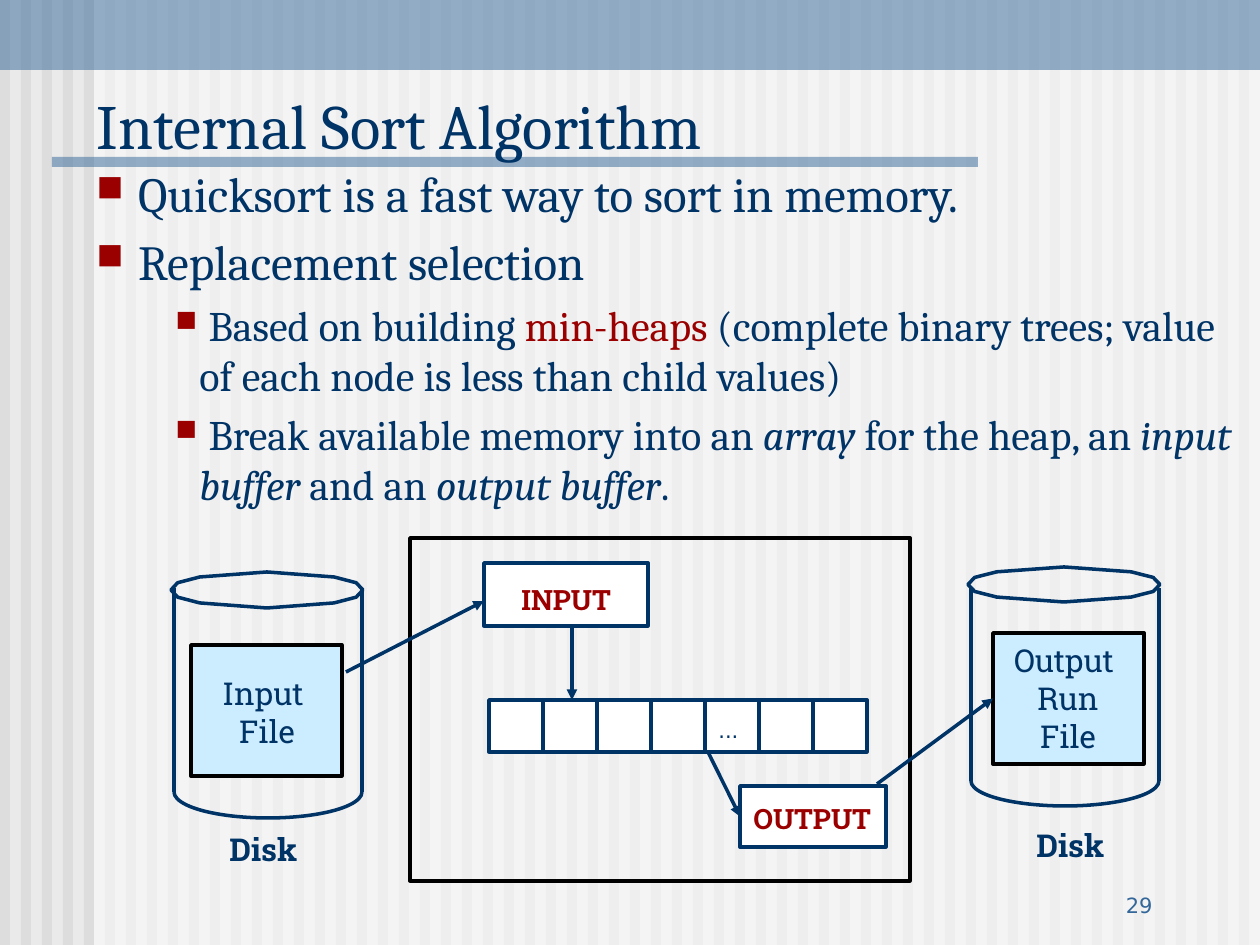
import pptx
import pptx.util
import pptx.dml.color
import pptx.enum.shapes
import pptx.enum.text
import pptx.oxml
import pptx.oxml.ns

NAVY, RED, BLUE, PALE, WHITE, BLACK = "003366", "9A0000", "336699", "CCECFF", "FFFFFF", "000000"
SERIF, SLAB, SANS = "Cambria", "Roboto Slab", "DejaVu Sans"
SHAPE = pptx.enum.shapes.MSO_SHAPE
ALIGN = pptx.enum.text.PP_ALIGN
ANCHOR = pptx.enum.text.MSO_ANCHOR
TOP, LEFT, BOTTOM, RIGHT = range(4)


def px(length):
    return round(length * 914400 / 126)


def rgb(value):
    return pptx.dml.color.RGBColor.from_string(value)


def add_xml(parent, tag, **attributes):
    child = pptx.oxml.parse_xml(f"<a:{tag} {pptx.oxml.ns.nsdecls('a')}/>")
    for key, value in attributes.items():
        child.set(key, str(value))
    parent.append(child)
    return child


class Board:
    """Holds the style and the current slide, and draws each kind of element."""

    def __init__(self, slide, line_width=2):
        self.slide = slide
        self.shapes = slide.shapes
        self.line_width = pptx.util.Pt(line_width)

    def background(self, color):
        self.slide.background.fill.solid()
        self.slide.background.fill.fore_color.rgb = rgb(color)

    def style(self, shape, fill=None, line=None, alpha=None):
        shape.shadow.inherit = False
        if fill:
            shape.fill.solid()
            shape.fill.fore_color.rgb = rgb(fill)
            if alpha:
                color = shape.fill._xPr.find(".//" + pptx.oxml.ns.qn("a:srgbClr"))
                add_xml(color, "alpha", val=alpha * 1000)
        else:
            shape.fill.background()
        if line:
            shape.line.color.rgb = rgb(line)
            shape.line.width = self.line_width
        else:
            shape.line.fill.background()
        return shape

    def box(self, x, y, w, h, fill=None, line=None, alpha=None):
        shape = self.shapes.add_shape(SHAPE.RECTANGLE, px(x), px(y), px(w), px(h))
        return self.style(shape, fill, line, alpha)

    def line(self, x1, y1, x2, y2, arrow=False, end=None):
        connector = self.shapes.add_connector(
            pptx.enum.shapes.MSO_CONNECTOR.STRAIGHT, px(x1), px(y1), px(x2), px(y2))
        connector.line.color.rgb = rgb(NAVY)
        connector.line.width = self.line_width
        if end:
            connector.end_connect(*end)
        if arrow:
            add_xml(connector.line._get_or_add_ln(), "tailEnd", type="triangle")
        add_xml(connector._element.spPr, "effectLst")

    def disk(self, x, lid_top, lid_height, wall_bottom, depth):
        width, wall_inset, wall_top = 192, 3, 588
        half_w, half_h = width / 2, lid_height / 2
        quarter = [(1, 0), (0.93, 0.4), (0.7, 0.72), (0, 1)]
        upper = quarter + [(-u, v) for u, v in quarter[-2::-1]]
        rim = upper + [(-u, -v) for u, v in upper[1:-1]]
        points = [(px(x + half_w * (1 + u)), px(lid_top + half_h * (1 - v))) for u, v in rim]
        builder = self.shapes.build_freeform(*points[0])
        builder.add_line_segments(points[1:], close=True)
        self.style(builder.convert_to_shape(), line=NAVY)
        left, right = x + wall_inset, x + width - 1
        for wall in (left, right):
            self.line(wall, wall_top, wall, wall_bottom)
        base = self.shapes.add_shape(SHAPE.ARC, px(left), px(wall_bottom - depth),
                                     px(right - left), px(2 * depth))
        base.adjustments[0], base.adjustments[1] = 0, 108
        self.style(base, line=NAVY)

    def font(self, paragraph, size, face, color=None, bold=None):
        paragraph.font.size = pptx.util.Pt(size)
        paragraph.font.name = face
        paragraph.font.bold = bold
        if color:
            paragraph.font.color.rgb = rgb(color)

    def title(self, text, x, y, w, h, size):
        title = self.shapes.title
        self.shapes._spTree.append(title._element)
        title.left, title.top, title.width, title.height = map(px, (x, y, w, h))
        title.text = text
        title.text_frame.vertical_anchor = ANCHOR.BOTTOM
        heading = title.text_frame.paragraphs[0]
        heading.alignment = ALIGN.LEFT
        self.font(heading, size, SERIF, NAVY)

    def text(self, lines, x, y, w, h, size, face=SLAB, color=NAVY, bold=None,
             align=ALIGN.LEFT, anchor=ANCHOR.TOP, wrap=True, before=0):
        frame = self.shapes.add_textbox(px(x), px(y), px(w), px(h)).text_frame
        frame.word_wrap = wrap
        frame.vertical_anchor = anchor
        for index, line in enumerate(lines):
            paragraph = frame.paragraphs[0] if index == 0 else frame.add_paragraph()
            paragraph.text = line
            paragraph.alignment = align
            paragraph.space_before = pptx.util.Pt(before)
            self.font(paragraph, size, face, color, bold)

    def bullets(self, items, x, y, w, h):
        levels = [(28, 31, -31, 75), (24, 103, -24, 70)]
        frame = self.shapes.add_textbox(px(x), px(y), px(w), px(h)).text_frame
        frame.word_wrap = True
        for index, (level, parts) in enumerate(items):
            size, margin, indent, bullet_size = levels[level]
            paragraph = frame.paragraphs[0] if index == 0 else frame.add_paragraph()
            paragraph.level = level
            paragraph.space_before = pptx.util.Pt(size * 0.2)
            properties = paragraph._p.get_or_add_pPr()
            properties.set("marL", str(px(margin)))
            properties.set("indent", str(px(indent)))
            add_xml(add_xml(properties, "buClr"), "srgbClr", val=RED)
            add_xml(properties, "buSzPct", val=bullet_size * 1000)
            add_xml(properties, "buChar", char="■")
            self.font(paragraph, size, SERIF)
            for content, color, italic in parts:
                run = paragraph.add_run()
                run.text = content
                run.font.color.rgb = rgb(color)
                run.font.italic = italic


def plain(text):
    return text, NAVY, None


def italic(text):
    return text, NAVY, True


def main():
    deck = pptx.Presentation()
    deck.slide_width, deck.slide_height = px(1260), px(945)
    board = Board(deck.slides.add_slide(deck.slide_layouts[5]))

    board.background("EAEAEA")
    for stripe in range(60):
        board.box(stripe * 21, 0, 10, 945, "DDDDDD")
    board.box(94, 0, 1166, 945, WHITE, alpha=50)
    board.box(0, 0, 1260, 70, BLUE, alpha=50)
    board.box(52, 157, 926, 10, BLUE, alpha=50)
    board.text(["29"], 903, 861, 262, 63, 12, SANS, BLUE, align=ALIGN.RIGHT, anchor=ANCHOR.BOTTOM)
    board.title("Internal Sort Algorithm", 84, 63, 1176, 105, 36)
    board.bullets([
        (0, [plain(" Quicksort is a fast way to sort in memory.")]),
        (0, [plain(" Replacement selection")]),
        (1, [plain(" Based on building "), ("min-heaps", RED, None),
             plain(" (complete binary trees; value of each node is less than child values)")]),
        (1, [plain(" Break available memory into an "), italic("array"),
             plain(" for the heap, an "), italic("input buffer"), plain(" and an "),
             italic("output buffer"), plain(".")]),
    ], 84, 157, 1176, 693)

    board.disk(171, 572, 36, 792, 26)
    board.disk(968, 567, 35, 781, 25)
    board.box(191, 645, 151, 131, PALE, BLACK)
    output_file = board.box(993, 633, 151, 131, PALE, BLACK)
    board.box(410, 538, 500, 343, line=BLACK)
    board.box(484, 563, 164, 63, WHITE, NAVY)
    output_buffer = board.box(740, 786, 146, 61, WHITE, NAVY)

    cells, cell_width, heap_left, heap_top, heap_height = 7, 54, 489, 700, 52
    board.box(heap_left, heap_top, cells * cell_width, heap_height, WHITE, NAVY)
    for cell in range(1, cells):
        divider = heap_left + cell * cell_width
        board.line(divider, heap_top, divider, heap_top + heap_height)
    board.text(["..."], 706, 711, 54, 38, 12, SANS, before=6)

    board.line(346, 672, 484, 601, arrow=True)
    board.line(572, 626, 572, 700, arrow=True)
    board.line(708, 752, 740, 816, arrow=True, end=(output_buffer, LEFT))
    board.line(877, 784, 993, 699, arrow=True, end=(output_file, LEFT))

    for label, x, y, w in (("INPUT", 509, 576, 116), ("OUTPUT", 741, 795, 146)):
        board.text([label], x, y, w, 45, 16, color=RED, bold=True, wrap=False)
    for x, y in ((217, 824), (1024, 820)):
        board.text(["Disk"], x, y, 98, 50, 18, bold=True, wrap=False)
    board.text(["Input ", "File"], 194, 668, 146, 88, 18, align=ALIGN.CENTER)
    board.text(["Output ", "Run File"], 995, 635, 146, 126, 18, align=ALIGN.CENTER)

    deck.save("out.pptx")


if __name__ == "__main__":
    main()
